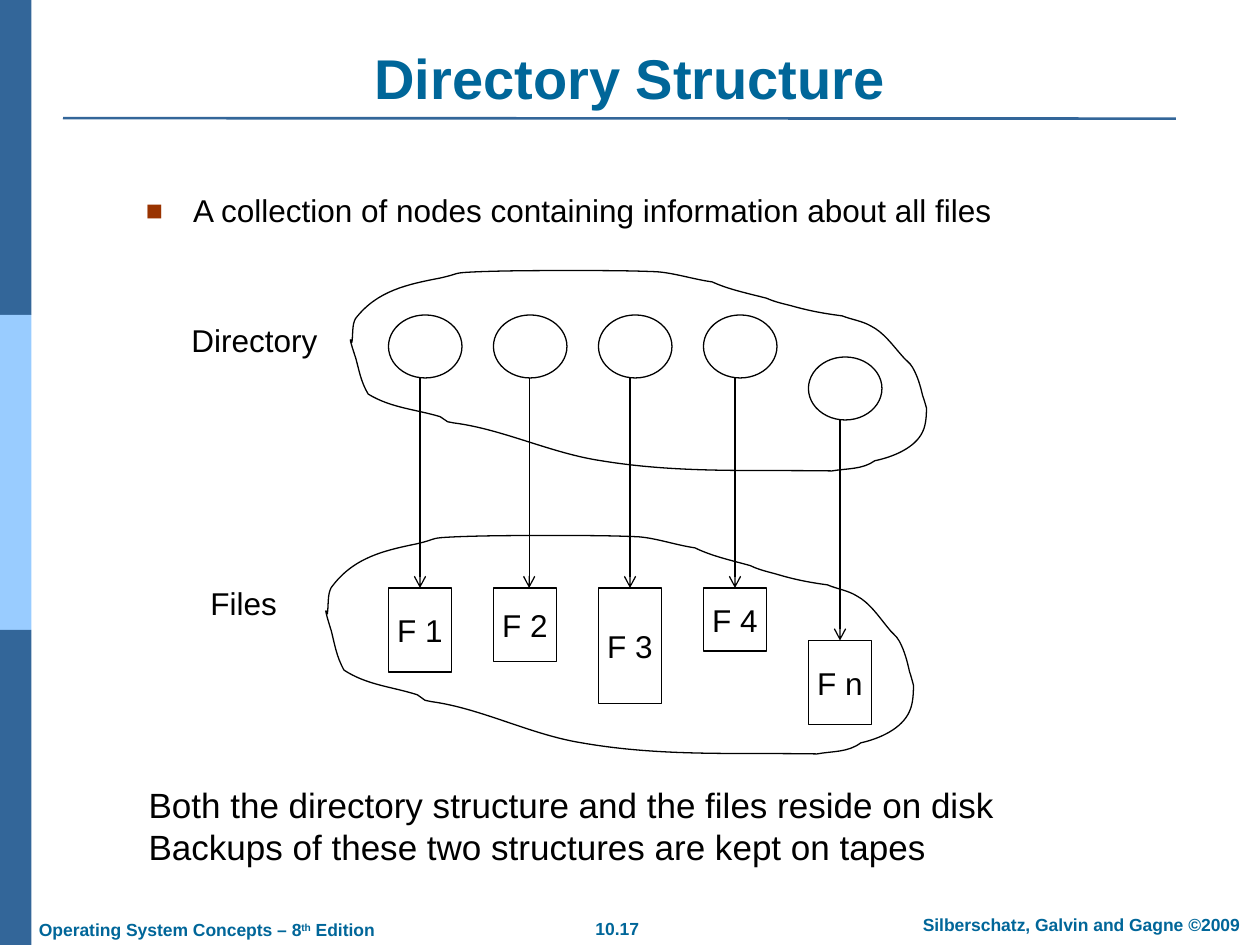
from lxml.etree import SubElement
from pptx import Presentation
from pptx.dml.color import RGBColor
from pptx.enum.shapes import MSO_CONNECTOR, MSO_SHAPE
from pptx.enum.text import MSO_ANCHOR, PP_ALIGN
from pptx.oxml.ns import qn
from pptx.util import Pt

BLACK, WHITE, TEAL, NAVY, SKY, RUST = "000000", "FFFFFF", "006699", "336699", "99CCFF", "993300"

BANDS = [NAVY, SKY, NAVY]
BAND_WIDTH, BAND_HEIGHT = 18, 180

CENTER, LEFT = PP_ALIGN.CENTER, PP_ALIGN.LEFT
TOP, MIDDLE, BOTTOM = MSO_ANCHOR.TOP, MSO_ANCHOR.MIDDLE, MSO_ANCHOR.BOTTOM

FOOTERS = [
    ([("10.17", False)], (314.6, 521, 76.3, 19.4), CENTER),
    ([("Silberschatz, Galvin and Gagne ©2009", False)], (511, 518.8, 213.8, 19.4), CENTER),
    ([("Operating System Concepts – 8", False), ("th", True), (" Edition", False)],
     (15.1, 521.7, 220, 19.4), LEFT),
]
TITLE = "Directory Structure"
BULLET = "A collection of nodes containing information about all files"
CLOSING = [
    "Both the directory structure and the files reside on disk",
    "Backups of these two structures are kept on tapes",
]
GROUP_LABELS = [
    ("Directory", (102.2, 180, 86.4, 28.8)),
    ("Files", (113, 330.2, 52.6, 28.8)),
]

FIRST_COLUMN, COLUMN_STEP = 222, 60
NODE_WIDTH, NODE_HEIGHT, FILE_WIDTH = 42, 36, 36
# label, node top, file top, file height, arrow offset
FILES = [
    ("F 1", 180, 336, 48, 18),
    ("F 2", 180, 336, 42, 20.4),
    ("F 3", 180, 336, 66, 18),
    ("F 4", 180, 336, 36, 18),
    ("F n", 204, 366, 48, 18),
]

CLOUD_START = (0.9, 41)
CLOUD_CURVES = [
    ((1.6, 36), (0.9, 31), (3, 27.4)),
    ((15.3, 11.5), (32.6, 7.9), (51.3, 4.3)),
    ((64.2, 1.4), (57, 1.4), (72.9, 0.7)),
    ((90.9, 0), (108.9, 0), (127.6, 0)),
    ((143.4, 0), (159.3, 0), (175.1, 0.7)),
    ((185.2, 1.4), (196, 5), (206.8, 6.5)),
    ((216.2, 10.8), (227, 13), (237.8, 15.8)),
    ((242.8, 18), (246.4, 18.7), (252.2, 20.2)),
    ((262.2, 23), (270.2, 24.5), (281, 25.9)),
    ((286.7, 28.1), (292.5, 28.8), (297.5, 31.7)),
    ((304.7, 35.3), (309.8, 42.5), (314.8, 48.2)),
    ((317, 51.1), (319.8, 52.6), (321.3, 55.4)),
    ((324.2, 60.5), (325.6, 65.5), (327, 71.3)),
    ((327.8, 73.4), (329.2, 78.5), (329.2, 78.5)),
    ((329.2, 81.4), (329.2, 87.8), (327, 92.2)),
    ((322.7, 101.5), (309.8, 106.6), (299.7, 108.7)),
    ((292.5, 113.8), (283.8, 113), (275.2, 114.5)),
    ((229.1, 113.8), (187.4, 115.9), (143.4, 108.7)),
    ((114.6, 104.4), (87.3, 90.7), (59.2, 87.1)),
    ((57.8, 87.1), (57, 86.4), (55.6, 86.4)),
    ((54.2, 85.7), (52.7, 84.2), (51.3, 83.5)),
    ((36.9, 79.2), (23.2, 78.5), (10.2, 70.6)),
    ((5.9, 63.4), (5, 56.9), (3, 49.7)),
    ((3, 49.7), (0, 41), (0, 39.6)),
    ((0, 38.9), (0.9, 40.3), (0.9, 41)),
]
# left, top, horizontal scale, vertical scale
CLOUDS = [(200.2, 154.6, 1, 1), (186.2, 306, 1.02, 1.09)]


def color(value):
    return RGBColor.from_string(value)


def style_shape(shape, fill, line):
    shape.shadow.inherit = False
    if fill:
        shape.fill.solid()
        shape.fill.fore_color.rgb = color(fill)
    else:
        shape.fill.background()
    if line:
        shape.line.color.rgb = color(line)
        shape.line.width = Pt(0.75)
    else:
        shape.line.fill.background()


def add_preset(page, kind, bounds, fill, line=None):
    shape = page.shapes.add_shape(kind, *map(Pt, bounds))
    style_shape(shape, fill, line)
    return shape


def write(shape, lines, size, ink=BLACK, bold=False, align=LEFT, anchor=TOP, wrap=True, bullet=None):
    frame = shape.text_frame
    frame.word_wrap = wrap
    frame.vertical_anchor = anchor
    frame.text = "\n".join(lines)
    for paragraph in frame.paragraphs:
        paragraph.alignment = align
        if bullet:
            set_bullet(paragraph, bullet)
        paragraph.font.name = "Arial"
        paragraph.font.size = Pt(size)
        paragraph.font.bold = bold
        paragraph.font.color.rgb = color(ink)
    return frame.paragraphs[0]


def add_text(page, bounds, lines, size, **options):
    return write(page.shapes.add_textbox(*map(Pt, bounds)), lines, size, **options)


def add_line(page, start, end, ink, width, arrow=False):
    line = page.shapes.add_connector(MSO_CONNECTOR.STRAIGHT, *map(Pt, start + end))
    line.line.color.rgb = color(ink)
    line.line.width = Pt(width)
    if arrow:
        SubElement(line.line._get_or_add_ln(), qn("a:tailEnd"), type="arrow")
    SubElement(line._element.spPr, qn("a:effectLst"))


def set_bullet(paragraph, mark):
    paragraph.line_spacing = 0.9
    properties = paragraph._p.get_or_add_pPr()
    properties.set("marL", str(Pt(27)))
    properties.set("indent", str(Pt(-27)))
    SubElement(SubElement(properties, qn("a:buClr")), qn("a:srgbClr"), val=RUST)
    SubElement(properties, qn("a:buSzPct"), val="90000")
    SubElement(properties, qn("a:buFont"), typeface="Arial")
    SubElement(properties, qn("a:buChar"), char=mark)


def add_cloud(page, left, top, scale_x, scale_y):
    corners = [CLOUD_START] + [point for curve in CLOUD_CURVES for point in curve]
    points = [(Pt(left + x * scale_x), Pt(top + y * scale_y)) for x, y in corners]
    builder = page.shapes.build_freeform(*points[0])
    builder.add_line_segments(points[1:], close=True)
    cloud = builder.convert_to_shape()
    style_shape(cloud, None, BLACK)
    segments = list(cloud._element.iter(qn("a:lnTo")))
    for first, second, end in zip(segments[::3], segments[1::3], segments[2::3]):
        curve = first.makeelement(qn("a:cubicBezTo"))
        first.addprevious(curve)
        for segment in (first, second, end):
            curve.append(segment[0])
            segment.getparent().remove(segment)


def main():
    deck = Presentation()
    deck.slide_width, deck.slide_height = Pt(720), Pt(540)
    page = deck.slides.add_slide(deck.slide_layouts[6])

    for index, fill in enumerate(BANDS):
        add_preset(page, MSO_SHAPE.RECTANGLE, (0, index * BAND_HEIGHT, BAND_WIDTH, BAND_HEIGHT), fill)
    add_line(page, (36, 67.5), (672, 67.8), NAVY, 1.5)

    for spans, bounds, align in FOOTERS:
        paragraph = add_text(page, bounds, [""], 10, ink=TEAL, bold=True, align=align)
        for text, raised in spans:
            span = paragraph.add_run()
            span.text = text
            if raised:
                span.font._element.set("baseline", "30000")

    add_text(page, (36, 21.6, 648, 45.4), [TITLE], 32, ink=TEAL, bold=True, align=CENTER, anchor=BOTTOM)
    add_text(page, (76.3, 108, 580.3, 28.1), [BULLET], 18, bullet="■")

    for index, (label, node_top, file_top, file_height, offset) in enumerate(FILES):
        left = FIRST_COLUMN + index * COLUMN_STEP
        add_preset(page, MSO_SHAPE.OVAL, (left, node_top, NODE_WIDTH, NODE_HEIGHT), WHITE, BLACK)
        box = add_preset(page, MSO_SHAPE.RECTANGLE, (left, file_top, FILE_WIDTH, file_height), WHITE, BLACK)
        write(box, [label], 18, align=CENTER, anchor=MIDDLE, wrap=False)
        add_line(page, (left + offset, node_top + NODE_HEIGHT), (left + offset, file_top), BLACK, 0.75, arrow=True)

    for cloud in CLOUDS:
        add_cloud(page, *cloud)
    for label, bounds in GROUP_LABELS:
        add_text(page, bounds, [label], 18, align=CENTER, anchor=MIDDLE, wrap=False)
    add_text(page, (77.8, 444.2, 553.7, 30.2), CLOSING, 20)

    deck.save("out.pptx")


if __name__ == "__main__":
    main()
